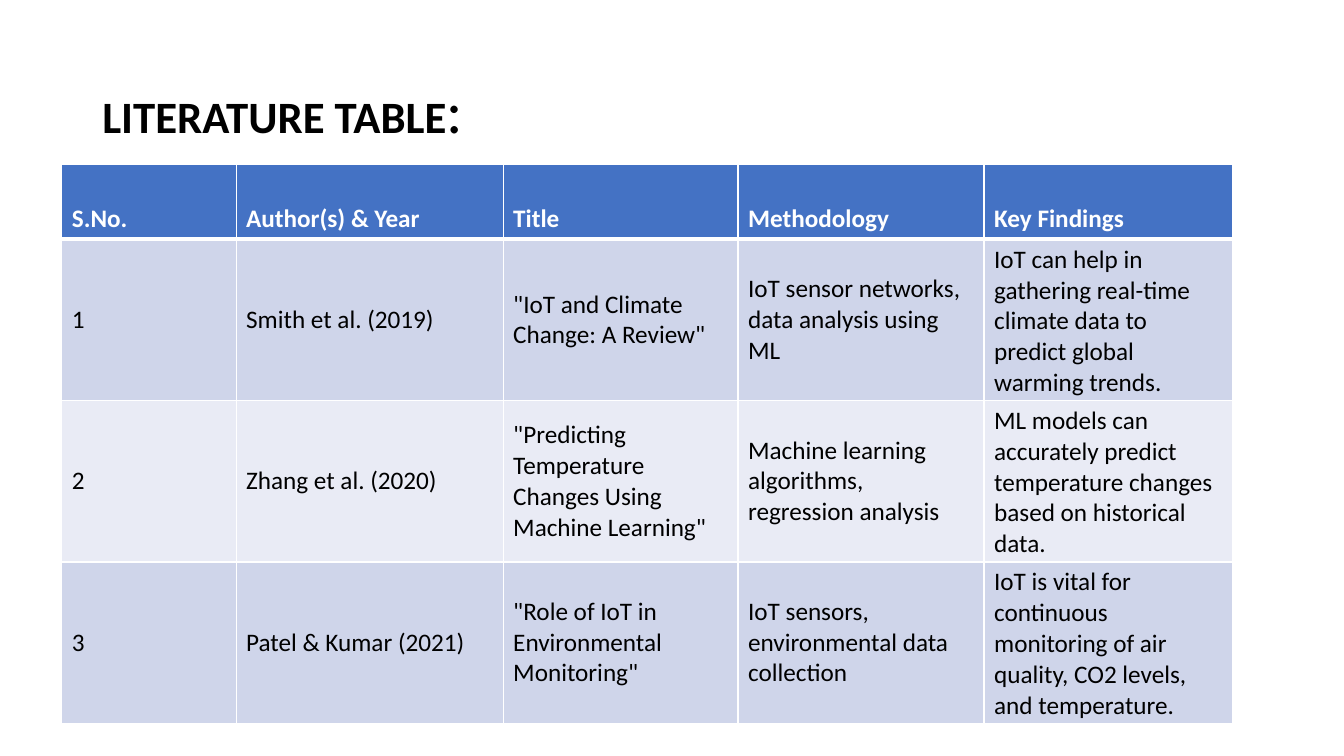
import pptx
import pptx.util
import pptx.dml.color
import pptx.enum.text
import pptx.oxml
import pptx.oxml.ns
from pptx.util import Cm

FONT = "Calibri"
ANCHOR = pptx.enum.text.MSO_ANCHOR
COLUMN_WIDTHS = [4.39, 6.73, 5.92, 6.2, 6.25]
HEADER_HEIGHT = 1.88
BODY_HEIGHT = 3.86
BAND_FILLS = ["CFD5EA", "E9EBF5"]
LITERATURE = [
    ["S.No.", "Author(s) & Year", "Title", "Methodology", "Key Findings"],
    ["1", "Smith et al. (2019)", '"IoT and Climate Change: A Review"',
     "IoT sensor networks, data analysis using ML",
     "IoT can help in gathering real-time climate data to predict global warming trends."],
    ["2", "Zhang et al. (2020)",
     '"Predicting Temperature Changes Using Machine Learning"',
     "Machine learning algorithms, regression analysis",
     "ML models can accurately predict temperature changes based on historical data."],
    ["3", "Patel & Kumar (2021)", '"Role of IoT in Environmental Monitoring"',
     "IoT sensors, environmental data collection",
     "IoT is vital for continuous monitoring of air quality, CO2 levels, and temperature."],
]


def rgb(color):
    return pptx.dml.color.RGBColor.from_string(color)


def format_run(r, size, color, bold):
    r.font.name = FONT
    r.font.size = pptx.util.Pt(size)
    r.font.color.rgb = rgb(color)
    r.font.bold = bold


def add_title(s):
    box = s.shapes.add_textbox(Cm(2.33), Cm(1.01), Cm(29.21), Cm(3.68))
    tf = box.text_frame
    tf.word_wrap = True
    tf.vertical_anchor = ANCHOR.MIDDLE
    p = tf.paragraphs[0]
    p.line_spacing = 0.9
    for text, size, bold in [("LITERATURE TABLE", 32, True), (":", 44, False)]:
        r = p.add_run()
        r.text = text
        format_run(r, size, "000000", bold)


def set_borders(cell, top, bottom):
    tc_pr = cell._tc.get_or_add_tcPr()
    for side, points in [("L", 1), ("R", 1), ("T", top), ("B", bottom)]:
        tc_pr.append(pptx.oxml.parse_xml(
            f'<a:ln{side} {pptx.oxml.ns.nsdecls("a")} w="{pptx.util.Pt(points)}">'
            f'<a:solidFill><a:srgbClr val="FFFFFF"/></a:solidFill></a:ln{side}>'))


def fill_cell(cell, text, row):
    header = row == 0
    set_borders(cell, 3 if row == 1 else 1, 3 if header else 1)
    cell.fill.solid()
    cell.fill.fore_color.rgb = rgb("4472C4" if header else BAND_FILLS[(row - 1) % 2])
    cell.vertical_anchor = ANCHOR.BOTTOM if header else ANCHOR.MIDDLE
    cell.text_frame.text = text
    r = cell.text_frame.paragraphs[0].runs[0]
    format_run(r, 18, "FFFFFF" if header else "000000", header)


def add_literature_table(s):
    heights = [HEADER_HEIGHT] + [BODY_HEIGHT] * (len(LITERATURE) - 1)
    frame = s.shapes.add_table(len(heights), len(COLUMN_WIDTHS), Cm(1.56), Cm(4.15),
                               Cm(sum(COLUMN_WIDTHS)), Cm(sum(heights)))
    table = frame.table
    for column, width in zip(table.columns, COLUMN_WIDTHS):
        column.width = Cm(width)
    for i, (height, texts) in enumerate(zip(heights, LITERATURE)):
        table.rows[i].height = Cm(height)
        for j, text in enumerate(texts):
            fill_cell(table.cell(i, j), text, i)


def main():
    prs = pptx.Presentation()
    prs.slide_width = Cm(33.87)
    prs.slide_height = Cm(19.05)
    s = prs.slides.add_slide(prs.slide_layouts[6])
    add_title(s)
    add_literature_table(s)
    prs.save("out.pptx")


if __name__ == "__main__":
    main()
